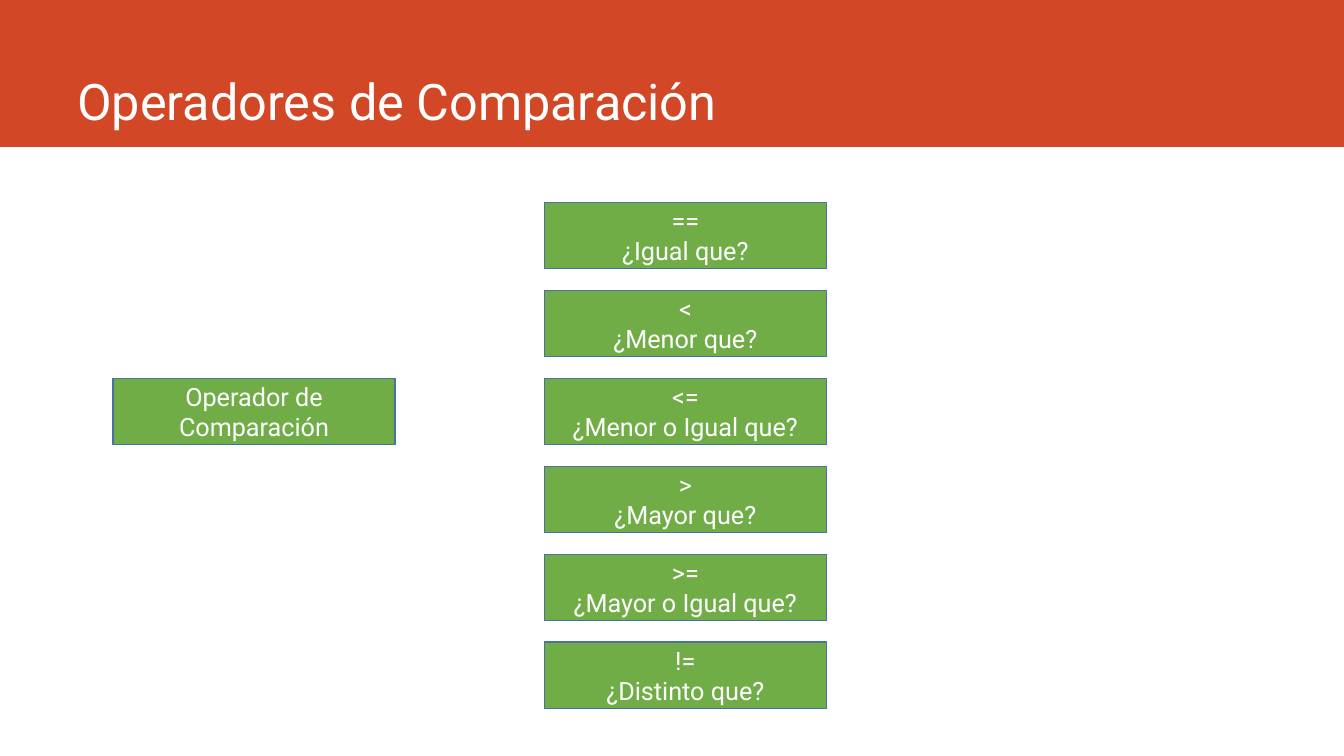
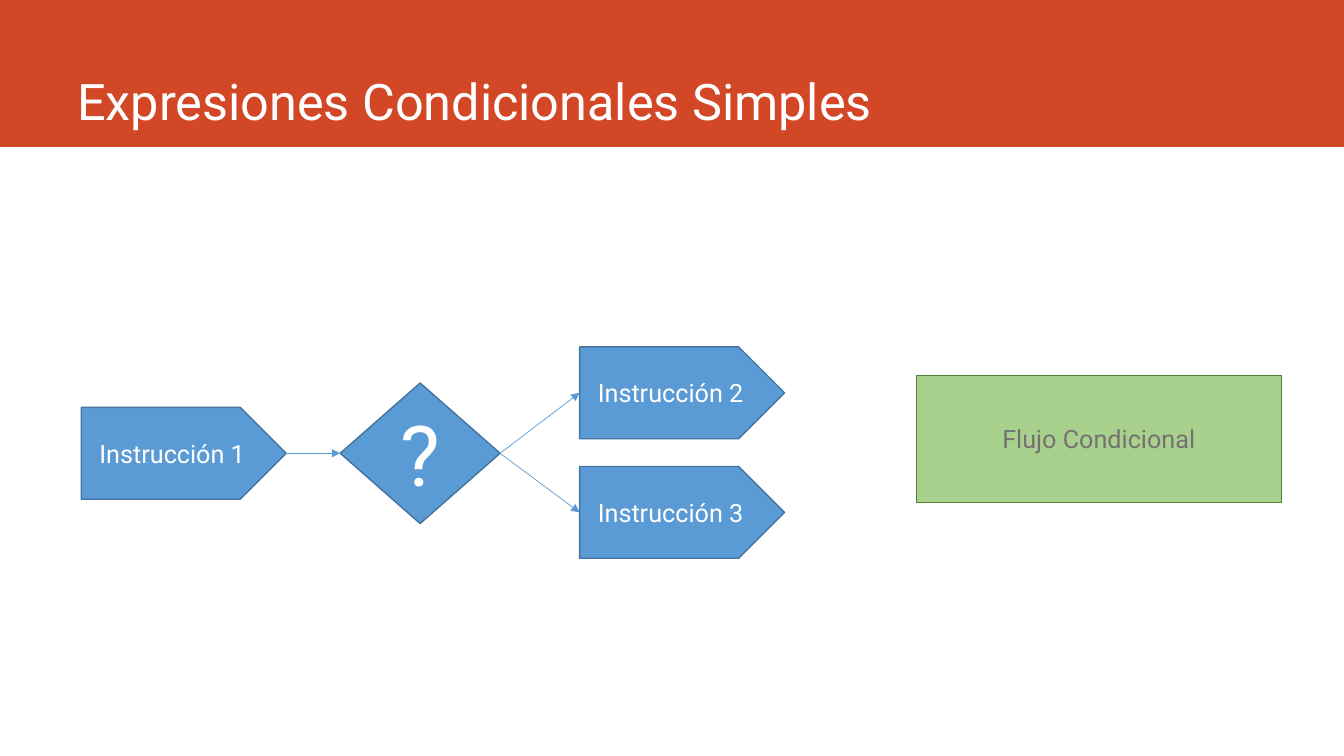
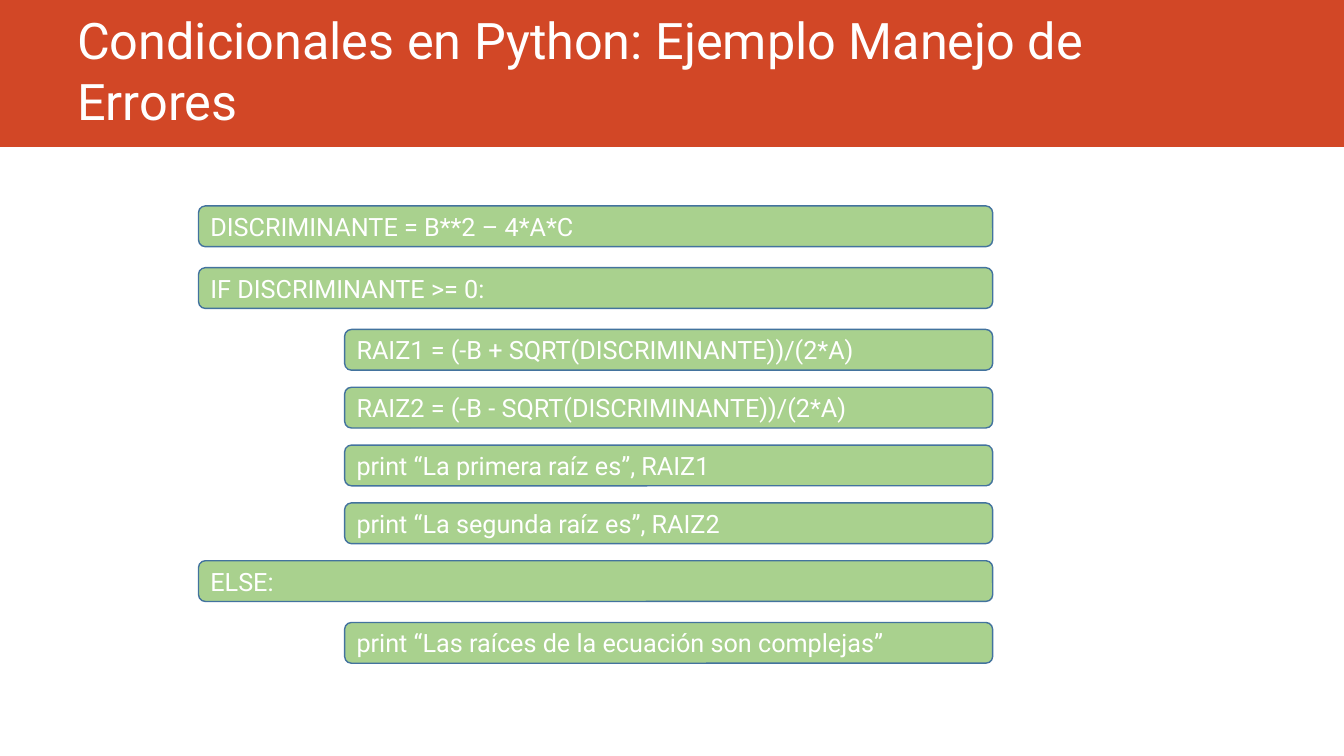
from pptx import Presentation
from pptx.dml.color import RGBColor
from pptx.enum.shapes import MSO_CONNECTOR, MSO_SHAPE
from pptx.enum.text import MSO_ANCHOR, PP_ALIGN
from pptx.oxml.ns import qn
from pptx.util import Pt
from lxml.etree import SubElement

FONT = "Roboto"
WHITE = RGBColor(0xFF, 0xFF, 0xFF)
ORANGE = RGBColor(0xD2, 0x47, 0x26)
GREEN = RGBColor(0x70, 0xAD, 0x47)
LIGHT_GREEN = RGBColor(0xA9, 0xD1, 0x8E)
DARK_GREEN = RGBColor(0x53, 0x80, 0x35)
BLUE = RGBColor(0x5B, 0x9B, 0xD5)
DARK_BLUE = RGBColor(0x43, 0x73, 0x9E)
GRAY = RGBColor(0x76, 0x71, 0x71)

deck = Presentation()
deck.slide_width = Pt(960)
deck.slide_height = Pt(540)


def add_box(slide, kind, left, top, width, height, lines, fill, outline=DARK_BLUE,
            color=WHITE, size=18, align=PP_ALIGN.CENTER, anchor=MSO_ANCHOR.MIDDLE):
    box = slide.shapes.add_shape(kind, Pt(left), Pt(top), Pt(width), Pt(height))
    box.shadow.inherit = False
    if fill is None:
        box.fill.background()
    else:
        box.fill.solid()
        box.fill.fore_color.rgb = fill
    if outline is None:
        box.line.fill.background()
    else:
        box.line.color.rgb = outline
        box.line.width = Pt(1)
    frame = box.text_frame
    frame.word_wrap = True
    frame.vertical_anchor = anchor
    for number, line in enumerate(lines):
        paragraph = frame.add_paragraph() if number else frame.paragraphs[0]
        paragraph.alignment = align
        run = paragraph.add_run()
        run.text = line
        run.font.name = FONT
        run.font.size = Pt(size)
        run.font.color.rgb = color
    return box


def start_slide(title):
    slide = deck.slides.add_slide(deck.slide_layouts[6])
    add_box(slide, MSO_SHAPE.RECTANGLE, 0, 0, 960, 105, [], ORANGE, None)
    heading = slide.shapes.add_textbox(Pt(48), Pt(0), Pt(846), Pt(96.5)).text_frame
    heading.word_wrap = True
    heading.vertical_anchor = MSO_ANCHOR.BOTTOM
    run = heading.paragraphs[0].add_run()
    run.text = title
    run.font.name = FONT
    run.font.size = Pt(36)
    run.font.color.rgb = WHITE
    return slide


comparison = start_slide("Operadores de Comparación")
add_box(comparison, MSO_SHAPE.RECTANGLE, 80.7, 270.2, 201.6, 47.2,
        ["Operador de Comparación"], GREEN)
operators = [
    ("==", "¿Igual que?"),
    ("<", "¿Menor que?"),
    ("<=", "¿Menor o Igual que?"),
    (">", "¿Mayor que?"),
    (">=", "¿Mayor o Igual que?"),
    ("!=", "¿Distinto que?"),
]
for row, operator in enumerate(operators):
    add_box(comparison, MSO_SHAPE.RECTANGLE, 388.8, 144.7 + 62.8 * row, 201.6, 47.2,
            operator, GREEN)

simple = start_slide("Expresiones Condicionales Simples")
instructions = [
    add_box(simple, MSO_SHAPE.PENTAGON, left, top, 146.4, 65.6,
            [f"Instrucción {number}"], BLUE)
    for number, (left, top) in enumerate([(58, 291), (414, 247.8), (414, 333.2)], 1)
]
question = add_box(simple, MSO_SHAPE.DIAMOND, 243, 273.6, 114.2, 100.4, ["?"], BLUE, size=60)
add_box(simple, MSO_SHAPE.RECTANGLE, 654.6, 268.2, 260.6, 90.6,
        ["Flujo Condicional"], LIGHT_GREEN, DARK_GREEN, GRAY)

first, second, third = instructions
for origin, target in [(first, question), (question, second), (question, third)]:
    arrow = simple.shapes.add_connector(MSO_CONNECTOR.STRAIGHT, 0, 0, 0, 0)
    arrow.begin_connect(origin, 3)
    arrow.end_connect(target, 1)
    arrow.line.color.rgb = BLUE
    arrow.line.width = Pt(0.5)
    SubElement(arrow.line._get_or_add_ln(), qn("a:tailEnd"), type="triangle")
    SubElement(arrow._element.spPr, qn("a:effectLst"))

errors = start_slide("Condicionales en Python: Ejemplo Manejo de Errores")
WIDE_STEP, NARROW_STEP = 44.1, 41.3
code_lines = [
    (0, WIDE_STEP, "DISCRIMINANTE = B**2 – 4*A*C"),
    (0, WIDE_STEP, "IF DISCRIMINANTE >= 0:"),
    (1, NARROW_STEP, "RAIZ1 = (-B + SQRT(DISCRIMINANTE))/(2*A)"),
    (1, NARROW_STEP, "RAIZ2 = (-B - SQRT(DISCRIMINANTE))/(2*A)"),
    (1, NARROW_STEP, "print “La primera raíz es”, RAIZ1"),
    (1, NARROW_STEP, "print “La segunda raíz es”, RAIZ2"),
    (0, WIDE_STEP, "ELSE:"),
    (1, WIDE_STEP, "print “Las raíces de la ecuación son complejas”"),
]
line_top = 147.1
for level, step, code in code_lines:
    indent = 104.4 * level
    add_box(errors, MSO_SHAPE.ROUNDED_RECTANGLE, 141.8 + indent, line_top, 567.3 - indent, 29.1,
            [code], LIGHT_GREEN, align=PP_ALIGN.LEFT)
    line_top += step

deck.save("out.pptx")
